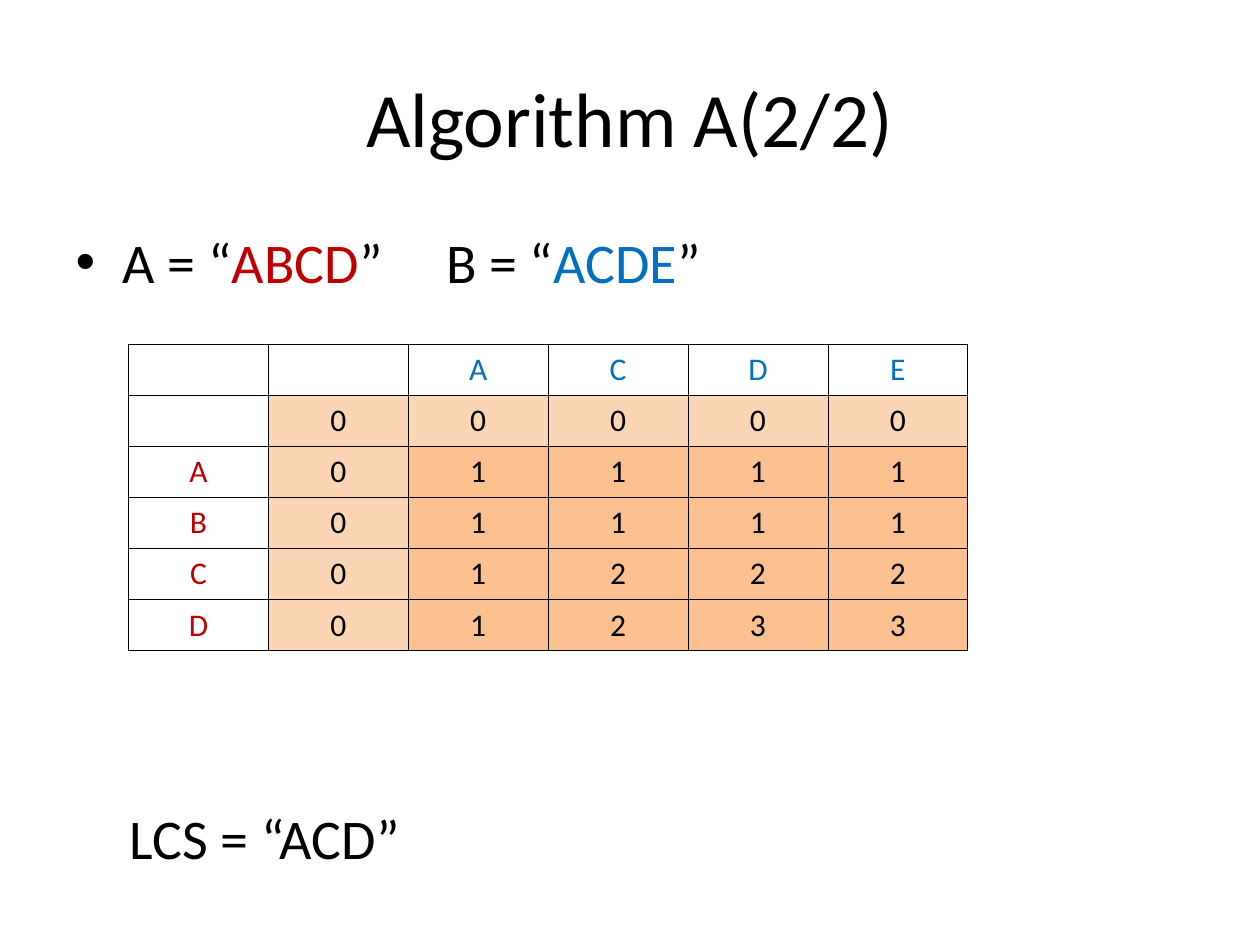
"""Build the slide showing a longest common subsequence table for two strings."""
from lxml.etree import SubElement
from pptx import Presentation
from pptx.dml.color import RGBColor
from pptx.enum.text import MSO_ANCHOR, MSO_AUTO_SIZE, PP_ALIGN
from pptx.oxml.ns import qn
from pptx.util import Cm, Pt

BLACK = RGBColor(0x00, 0x00, 0x00)
RED = RGBColor(0xC0, 0x00, 0x00)
BLUE = RGBColor(0x00, 0x70, 0xC0)
PALE_ORANGE = RGBColor(0xFC, 0xD5, 0xB5)
ORANGE = RGBColor(0xFA, 0xC0, 0x90)

HEADING = "Algorithm A(2/2)"
WORD_A, WORD_B = "ABCD", "ACDE"
STRINGS = [("A = “", BLACK), (WORD_A, RED), ("”", BLACK), (" ", BLACK),
           ("B = “", BLACK), (WORD_B, BLUE), ("”", BLACK)]
RESULT = "LCS = “ACD”"
LENGTHS = [
    [0, 0, 0, 0, 0],
    [0, 1, 1, 1, 1],
    [0, 1, 1, 1, 1],
    [0, 1, 2, 2, 2],
    [0, 1, 2, 3, 3],
]
GRID = [["", "", *WORD_B]] + [
    [letter, *lengths] for letter, lengths in zip(["", *WORD_A], LENGTHS)
]
COLUMN_WIDTH, ROW_HEIGHT = Cm(2.82), Cm(1.03)
WORD_GAP = Pt(29)


def place(part, left, top, width, height):
    box = {"left": left, "top": top, "width": width, "height": height}
    for side, length in box.items():
        setattr(part, side, Cm(length))


def add_text(paragraph, text, size, color):
    run = paragraph.add_run()
    run.text = text
    for key, value in {"name": "Calibri", "size": Pt(size)}.items():
        setattr(run.font, key, value)
    run.font.color.rgb = color
    return run


def add_borders(cell):
    properties = cell._tc.get_or_add_tcPr()
    for side in ("lnL", "lnR", "lnT", "lnB"):
        border = SubElement(properties, qn(f"a:{side}"), w=str(Pt(0.45)))
        fill = SubElement(border, qn("a:solidFill"))
        SubElement(fill, qn("a:srgbClr"), val=str(BLACK))


def fill_title(title):
    place(title, 1.27, 0.76, 22.86, 3.18)
    title.text_frame.vertical_anchor = MSO_ANCHOR.MIDDLE
    heading = title.text_frame.paragraphs[0]
    heading.alignment = PP_ALIGN.CENTER
    add_text(heading, HEADING, 44, BLACK)


def fill_body(body):
    place(body, 1.27, 4.45, 22.86, 12.57)
    body.text_frame.auto_size = MSO_AUTO_SIZE.NONE
    strings = body.text_frame.paragraphs[0]
    strings.space_before = Pt(0)
    properties = strings._p.get_or_add_pPr()
    for key, value in {"marL": Cm(0.95), "indent": -Cm(0.95)}.items():
        properties.set(key, str(value))
    SubElement(properties, qn("a:buChar"), char="•")
    for text, color in STRINGS:
        run = add_text(strings, text, 32, color)
        if text == " ":
            run.font._element.set("spc", str(int(WORD_GAP.pt * 100)))


def add_lengths_table(slide):
    rows, columns = len(GRID), len(GRID[0])
    table = slide.shapes.add_table(
        rows, columns, Cm(2.59), Cm(6.94),
        COLUMN_WIDTH * columns, ROW_HEIGHT * rows).table
    table.first_row = table.horz_banding = False
    for row, values in enumerate(GRID):
        table.rows[row].height = ROW_HEIGHT
        for column, value in enumerate(values):
            cell = table.cell(row, column)
            add_borders(cell)
            if row == 0 or column == 0:
                cell.fill.background()
                color = BLUE if row == 0 else RED
            else:
                cell.fill.solid()
                on_edge = row == 1 or column == 1
                cell.fill.fore_color.rgb = PALE_ORANGE if on_edge else ORANGE
                color = BLACK
            entry = cell.text_frame.paragraphs[0]
            entry.alignment = PP_ALIGN.CENTER
            if value != "":
                add_text(entry, str(value), 18, color)


def add_result(slide):
    result = slide.shapes.add_textbox(Cm(2.36), Cm(16.08), Cm(6.07), Cm(1.63))
    result.text_frame.word_wrap = False
    result.text_frame.auto_size = MSO_AUTO_SIZE.SHAPE_TO_FIT_TEXT
    add_text(result.text_frame.paragraphs[0], RESULT, 32, BLACK)


def main():
    presentation = Presentation()
    presentation.slide_width, presentation.slide_height = Cm(25.4), Cm(19.05)
    slide = presentation.slides.add_slide(presentation.slide_layouts[1])
    fill_title(slide.shapes.title)
    fill_body(slide.placeholders[1])
    add_lengths_table(slide)
    add_result(slide)
    presentation.save("out.pptx")


if __name__ == "__main__":
    main()
